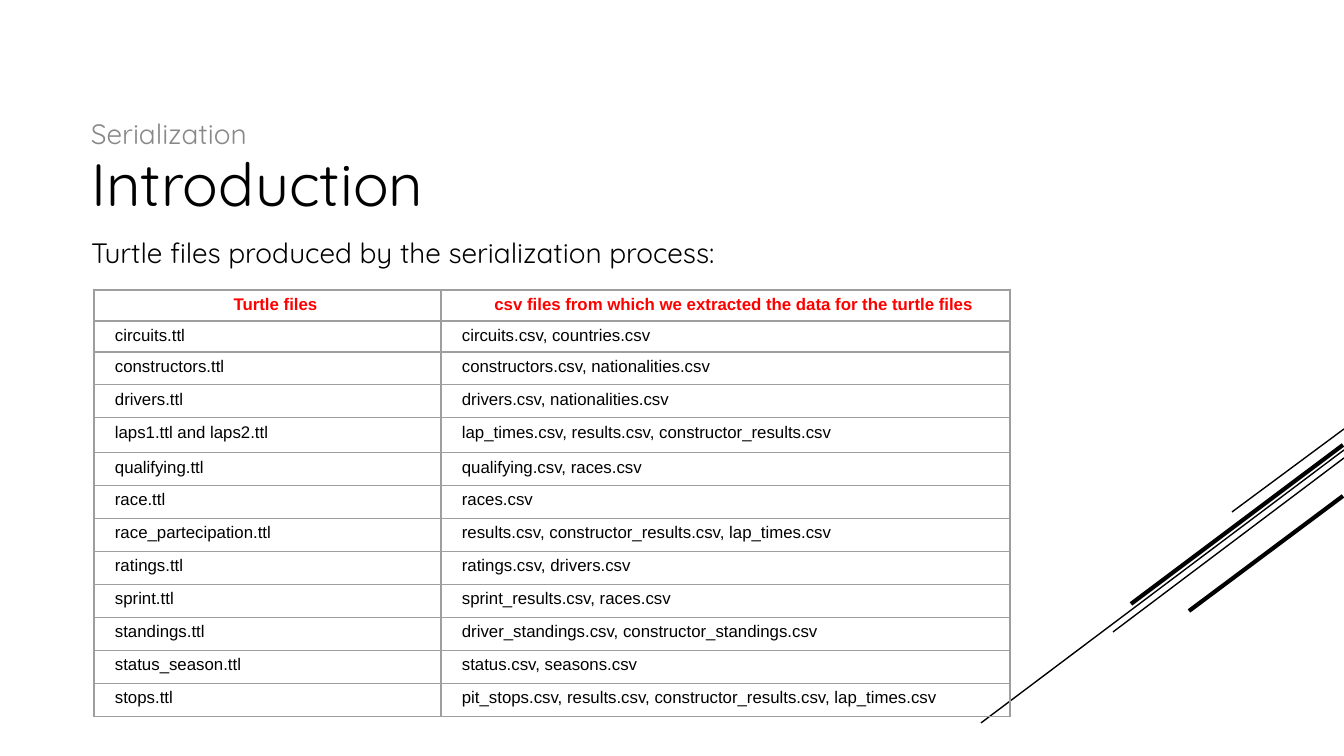
"""Build the slide that lists the Turtle files and their csv sources."""
from lxml.etree import SubElement
from pptx import Presentation
from pptx.dml.color import RGBColor
from pptx.enum.shapes import MSO_CONNECTOR
from pptx.enum.text import MSO_ANCHOR, MSO_AUTO_SIZE, PP_ALIGN
from pptx.oxml import parse_xml
from pptx.oxml.ns import nsdecls, qn
from pptx.util import Pt

PX = 914400 / 134.4
BLACK, GREY, RED, EDGE = "000000", "888888", "FF0000", "9E9E9E"


def px(*nums):
    return [round(n * PX) for n in nums]


def style(para, text, size, color, face="Quicksand", bold=False, align=PP_ALIGN.LEFT):
    para.text = text
    para.alignment = align
    font = para.font
    font.name, font.size, font.bold = face, Pt(size), bold
    font.color.rgb = RGBColor.from_string(color)


deck = Presentation()
deck.slide_width, deck.slide_height = px(1344, 756)
slide = deck.slides.add_slide(deck.slide_layouts[5])
shapes = slide.shapes

lines = [
    (1344, 429, 1232, 512, 0.75),
    (1344, 450, 981, 723, 0.75),
    (1344, 458, 1113, 632, 0.75),
    (1343, 445, 1131, 604, 2.25),
    (1343, 496, 1189, 611, 2.25),
]
for *ends, width in lines:
    line = shapes.add_connector(MSO_CONNECTOR.STRAIGHT, *px(*ends))
    line.line.width = Pt(width)
    line.line.color.rgb = RGBColor.from_string(BLACK)
    SubElement(line._element.spPr, qn("a:effectLst"))

title = shapes.title
title.left, title.top, title.width, title.height = px(78, 124, 964, 117)
title.text_frame.vertical_anchor = MSO_ANCHOR.MIDDLE
title.text_frame.auto_size = MSO_AUTO_SIZE.NONE
style(title.text_frame.paragraphs[0], "Introduction", 32, BLACK)

texts = [
    ("Serialization", GREY, (78, 104, 450, 73)),
    ("Turtle files produced by the serialization process:", BLACK, (78, 223, 798, 453)),
]
for text, color, place in texts:
    frame = shapes.add_textbox(*px(*place)).text_frame
    frame.word_wrap = True
    frame.margin_left, frame.margin_top, frame.margin_right, frame.margin_bottom = px(13, 13, 13, 13)
    style(frame.paragraphs[0], text, 15, color)

rows = [
    ("Turtle files", "csv files from which we extracted the data for the turtle files"),
    ("circuits.ttl", "circuits.csv, countries.csv"),
    ("constructors.ttl", "constructors.csv, nationalities.csv"),
    ("drivers.ttl", "drivers.csv, nationalities.csv"),
    ("laps1.ttl and laps2.ttl", "lap_times.csv, results.csv, constructor_results.csv"),
    ("qualifying.ttl", "qualifying.csv, races.csv"),
    ("race.ttl", "races.csv"),
    ("race_partecipation.ttl", "results.csv, constructor_results.csv, lap_times.csv"),
    ("ratings.ttl", "ratings.csv, drivers.csv"),
    ("sprint.ttl", "sprint_results.csv, races.csv"),
    ("standings.ttl", "driver_standings.csv, constructor_standings.csv"),
    ("status_season.ttl", "status.csv, seasons.csv"),
    ("stops.ttl", "pit_stops.csv, results.csv, constructor_results.csv, lap_times.csv"),
]
highs = [31, 31, 33, 33, 35] + [33] * 8
wides = [347, 569]
table = shapes.add_table(len(rows), 2, *px(94, 290, sum(wides), sum(highs))).table
table.first_row = table.horz_banding = False
for col, wide in zip(table.columns, px(*wides)):
    col.width = wide
for row, high in zip(table.rows, px(*highs)):
    row.height = high

for r, row in enumerate(rows):
    for c, text in enumerate(row):
        cell = table.cell(r, c)
        cell.margin_left, cell.margin_top, cell.margin_right, cell.margin_bottom = px(21, 5, 5, 5)
        para = cell.text_frame.paragraphs[0]
        if r == 0:
            style(para, text, 9, RED, "Arial", True, PP_ALIGN.CENTER)
        else:
            style(para, text, 9, BLACK, "Arial")
        props = cell._tc.get_or_add_tcPr()
        for side in ("lnL", "lnR", "lnT", "lnB"):
            props.append(parse_xml(
                f'<a:{side} {nsdecls("a")} w="{Pt(0.75)}"><a:solidFill>'
                f'<a:srgbClr val="{EDGE}"/></a:solidFill></a:{side}>'))
        cell.fill.background()

deck.save("out.pptx")
